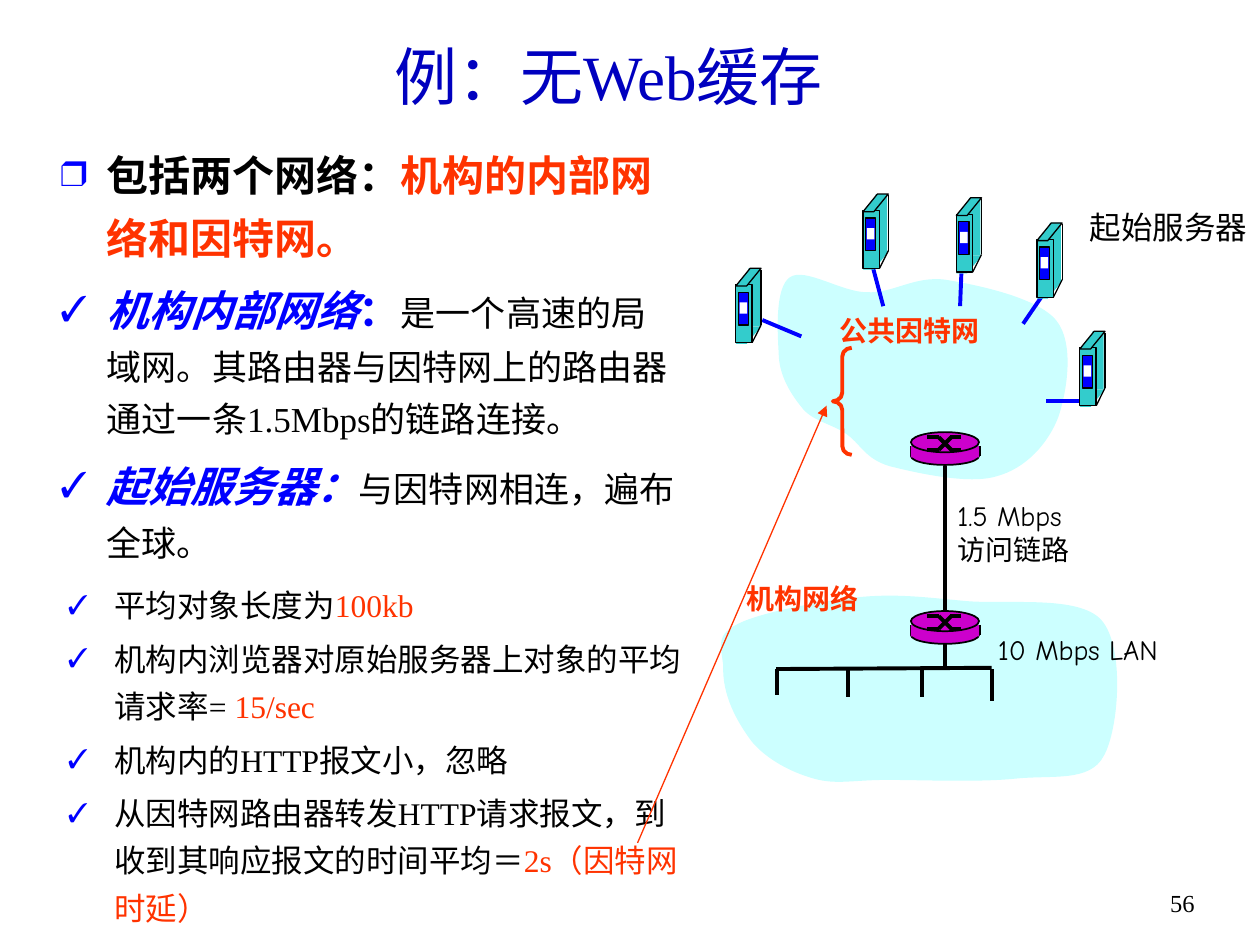
from dataclasses import dataclass
from lxml import etree
from pptx import Presentation
from pptx.dml.color import RGBColor
from pptx.enum.shapes import MSO_CONNECTOR, MSO_SHAPE
from pptx.enum.text import MSO_ANCHOR, PP_ALIGN
from pptx.oxml.ns import qn
from pptx.util import Inches, Pt

RECT, OVAL = MSO_SHAPE.RECTANGLE, MSO_SHAPE.OVAL
SLANT, BRACE = MSO_SHAPE.PARALLELOGRAM, MSO_SHAPE.LEFT_BRACE
STRAIGHT = MSO_CONNECTOR.STRAIGHT
LEFT, CENTER, RIGHT = PP_ALIGN.LEFT, PP_ALIGN.CENTER, PP_ALIGN.RIGHT
TOP, MIDDLE = MSO_ANCHOR.TOP, MSO_ANCHOR.MIDDLE

C = {"black": "000000", "white": "FFFFFF", "title": "0000BF", "blue": "0000FF",
     "red": "FF3300", "cloud": "CCFFFF", "teal": "33CCCC", "purple": "CC00CC"}
TIMES, SANS, COMIC = "Times New Roman", "Noto Sans CJK SC", "Comic Neue"


@dataclass
class Run:
    text: str
    size: float
    font: str = TIMES
    color: str = "black"
    bold: bool = False
    italic: bool = False


@dataclass
class Para:
    runs: list[Run]
    bullet: str = ""


@dataclass
class Server:
    x: float
    y: float
    link: tuple[float, float, float, float]


@dataclass
class Cloud:
    start: tuple[float, float]
    curves: list[tuple[float, ...]]


def rgb(name: str) -> RGBColor:
    return RGBColor.from_string(C[name])


def add_bullet(p, char: str) -> None:
    pPr = p._p.get_or_add_pPr()
    pPr.set("marL", str(Inches(0.37)))
    pPr.set("indent", str(-Inches(0.37)))
    clr = etree.SubElement(pPr, qn("a:buClr"))
    etree.SubElement(clr, qn("a:srgbClr"), val=C["blue"])
    etree.SubElement(pPr, qn("a:buSzPct"), val="85000")
    etree.SubElement(pPr, qn("a:buFont"), typeface=TIMES)
    etree.SubElement(pPr, qn("a:buChar"), char=char)


def add_text(s, paras: list[Para], x: float, y: float, w: float, h: float, *,
             align=LEFT, anchor=TOP, wrap: bool = True) -> None:
    tf = s.shapes.add_textbox(Inches(x), Inches(y), Inches(w), Inches(h)).text_frame
    tf.word_wrap = wrap
    tf.vertical_anchor = anchor
    for i, para in enumerate(paras):
        p = tf.add_paragraph() if i else tf.paragraphs[0]
        if para.bullet:
            add_bullet(p, para.bullet)
            p.line_spacing = 1.25
            if i:
                p.space_before = Pt(0.2 * para.runs[0].size)
        p.alignment = align
        for run in para.runs:
            r = p.add_run()
            r.text = run.text
            f = r.font
            f.size, f.name, f.bold, f.italic = Pt(run.size), run.font, run.bold, run.italic
            f.color.rgb = rgb(run.color)
            ea = etree.SubElement(r._r.get_or_add_rPr(), qn("a:ea"))
            ea.set("typeface", SANS)


def paint(sp, fill: str = "", line: str = "", width: float = 0.75) -> None:
    sp.shadow.inherit = False
    if fill:
        sp.fill.solid()
        sp.fill.fore_color.rgb = rgb(fill)
    else:
        sp.fill.background()
    if line:
        sp.line.color.rgb = rgb(line)
        sp.line.width = Pt(width)
    else:
        sp.line.fill.background()


def add_shape(s, kind, x: float, y: float, w: float, h: float, fill: str = "",
              line: str = "", width: float = 0.75, adj: tuple[float, ...] = ()) -> None:
    sp = s.shapes.add_shape(kind, Inches(x), Inches(y), Inches(w), Inches(h))
    for i, value in enumerate(adj):
        sp.adjustments[i] = value
    paint(sp, fill, line, width)


def add_line(s, x1: float, y1: float, x2: float, y2: float, color: str = "black",
             width: float = 2.25, arrow: bool = False) -> None:
    cn = s.shapes.add_connector(STRAIGHT, Inches(x1), Inches(y1), Inches(x2), Inches(y2))
    cn.line.color.rgb = rgb(color)
    cn.line.width = Pt(width)
    if arrow:
        etree.SubElement(cn.line._get_or_add_ln(), qn("a:tailEnd"), type="triangle")
    etree.SubElement(cn._element.spPr, qn("a:effectLst"))


def add_cloud(s, cloud: Cloud) -> None:
    fb = s.shapes.build_freeform(*map(Inches, cloud.start))
    fb.add_line_segments([(Inches(x), Inches(y)) for curve in cloud.curves
                          for x, y in zip(curve[::2], curve[1::2])], close=True)
    sp = fb.convert_to_shape()
    segments = list(sp._element.iter(qn("a:lnTo")))
    for i in range(0, len(segments), 3):
        bezier = etree.Element(qn("a:cubicBezTo"))
        segments[i].addprevious(bezier)
        for segment in segments[i:i + 3]:
            bezier.append(segment[0])
            segment.getparent().remove(segment)
    paint(sp, "cloud")


def add_server(s, server: Server) -> None:
    x, y = server.x, server.y
    add_line(s, *server.link, color="blue")
    add_shape(s, SLANT, x, y + 0.46, 0.2, 0.14, "teal", adj=(0.814,))
    add_shape(s, RECT, x + 0.1, y, 0.09, 0.46, "teal")
    add_shape(s, RECT, x, y + 0.13, 0.13, 0.46, "teal", "black")
    add_shape(s, SLANT, x, y, 0.2, 0.14, "teal", "black", adj=(0.814,))
    add_line(s, x + 0.2, y + 0.01, x + 0.2, y + 0.45, width=0.75)
    add_line(s, x + 0.2, y + 0.45, x + 0.13, y + 0.59, width=0.75)
    add_shape(s, RECT, x + 0.02, y + 0.19, 0.08, 0.26, "blue", "black")
    add_shape(s, RECT, x + 0.03, y + 0.27, 0.06, 0.09, "white")


def add_router(s, x: float, y: float) -> None:
    add_shape(s, OVAL, x, y + 0.12, 0.54, 0.14, "purple", "black", 1)
    for dx in (0, 0.55):
        add_line(s, x + dx, y + 0.11, x + dx, y + 0.19, width=1)
    add_shape(s, RECT, x, y + 0.11, 0.54, 0.09, "purple")
    add_shape(s, OVAL, x, y, 0.54, 0.16, "purple", "black", 1)
    for a, b in ((0.04, 0.14), (0.14, 0.04)):
        add_line(s, x + 0.13, y + a, x + 0.22, y + a)
        add_line(s, x + 0.22, y + a, x + 0.32, y + b)
        add_line(s, x + 0.31, y + b, x + 0.4, y + b)


INTERNET = Cloud((6.18, 2.8), [
    (6.17, 2.63, 6.15, 2.28, 6.27, 2.2), (6.39, 2.12, 6.68, 2.32, 6.88, 2.32),
    (7.09, 2.33, 7.25, 2.19, 7.5, 2.22), (7.75, 2.26, 8.23, 2.36, 8.38, 2.54),
    (8.53, 2.72, 8.47, 3.1, 8.4, 3.31), (8.32, 3.52, 8.14, 3.72, 7.91, 3.78),
    (7.69, 3.85, 7.26, 3.75, 7.06, 3.7), (6.86, 3.64, 6.83, 3.52, 6.71, 3.44),
    (6.59, 3.36, 6.44, 3.34, 6.36, 3.23), (6.27, 3.12, 6.18, 2.97, 6.18, 2.8)])
CAMPUS = Cloud((5.74, 5.28), [
    (5.72, 5.12, 5.68, 5.04, 5.86, 4.95), (6.04, 4.86, 6.51, 4.77, 6.81, 4.74),
    (7.11, 4.71, 7.34, 4.74, 7.66, 4.77), (7.99, 4.8, 8.56, 4.72, 8.74, 4.92),
    (8.93, 5.13, 8.88, 5.79, 8.76, 6), (8.65, 6.21, 8.35, 6.15, 8.06, 6.18),
    (7.77, 6.21, 7.31, 6.19, 7.04, 6.19), (6.77, 6.19, 6.64, 6.23, 6.46, 6.18),
    (6.28, 6.13, 6.09, 6.03, 5.97, 5.89), (5.85, 5.73, 5.73, 5.52, 5.74, 5.28)])
SERVERS = [Server(5.84, 2.13, (6.05, 2.54, 6.36, 2.67)),
           Server(6.85, 1.54, (6.93, 2.13, 7.01, 2.43)),
           Server(7.59, 1.57, (7.63, 2.17, 7.62, 2.43)),
           Server(8.23, 1.77, (8.27, 2.35, 8.12, 2.57)),
           Server(8.57, 2.63, (8.57, 3.18, 8.3, 3.18))]
NETWORKS = [
    Para([Run("包括两个网络：", 24, SANS, bold=True),
          Run("机构的内部网络和因特网。", 24, SANS, "red", True)], "❒"),
    Para([Run("机构内部网络", 24, SANS, "blue", True, True),
          Run("：", 24, SANS, "blue", True),
          Run("是一个高速的局域网。其路由器与因特网上的路由器通过一条", 20, SANS),
          Run("1.5Mbps的链路连接。", 20)], "✓"),
    Para([Run("起始服务器：", 24, SANS, "blue", True, True),
          Run("与因特网相连，遍布全球。", 20, SANS)], "✓")]
ASSUMPTIONS = [Para([Run(text, 18), Run(value, 18, color="red")], "✓") for text, value in (
    ("平均对象长度为", "100kb"),
    ("机构内浏览器对原始服务器上对象的平均请求率= ", "15/sec"))]
ASSUMPTIONS += [
    Para([Run("机构内的HTTP报文小，忽略", 18)], "✓"),
    Para([Run("从因特网路由器转发HTTP请求报文，到收到其响应报文的时间平均＝", 18),
          Run("2s（因特网时延）", 18, color="red")], "✓")]


def main() -> None:
    prs = Presentation()
    prs.slide_width, prs.slide_height = Inches(10), Inches(7.5)
    s = prs.slides.add_slide(prs.slide_layouts[6])
    add_text(s, [Para([Run("56", 14)])], 9.08, 7, 0.5, 0.5, align=RIGHT)
    add_text(s, [Para([Run("例：无Web缓存", 36, color="title")])], 0.58, 0.18, 8.5, 0.84,
             align=CENTER, anchor=MIDDLE)
    add_text(s, NETWORKS, 0.38, 1.04, 5.12, 3.57)
    for cloud in (INTERNET, CAMPUS):
        add_cloud(s, cloud)
    for server in SERVERS:
        add_server(s, server)
    add_line(s, 6.16, 5.31, 7.87, 5.3)
    for x, bottom in ((6.17, 5.52), (6.73, 5.53), (7.32, 5.53), (7.87, 5.56)):
        add_line(s, x, 5.31, x, bottom)
    for y in (3.43, 4.85):
        add_router(s, 7.23, y)
    add_line(s, 7.5, 3.7, 7.5, 4.86)
    add_line(s, 7.5, 5.11, 7.5, 5.29)
    for text, x, y, w, color in (("公共因特网", 6.56, 2.44, 1.32, "red"),
                                 ("机构网络", 5.82, 4.57, 1.1, "red"),
                                 ("10 Mbps LAN", 7.76, 4.97, 1.59, "black")):
        label = Run(text, 16, COMIC, color, bold=color == "red")
        add_text(s, [Para([label])], x, y, w, 0.37, align=CENTER, wrap=False)
    add_text(s, [Para([Run("起始服务器", 18, COMIC)])], 8.55, 1.6, 1.45, 0.4, wrap=False)
    add_text(s, [Para([Run(t, 16, COMIC)]) for t in ("1.5 Mbps", "访问链路")],
             7.5, 3.91, 1.18, 0.64, wrap=False)
    add_text(s, ASSUMPTIONS, 0.44, 4.53, 5.1, 2.83)
    add_shape(s, BRACE, 6.61, 2.76, 0.15, 0.85, line="red", width=2.25, adj=(0.462, 0.5))
    add_line(s, 5.06, 6.69, 6.56, 3.22, "red", 0.75, arrow=True)
    prs.save("out.pptx")


if __name__ == "__main__":
    main()
